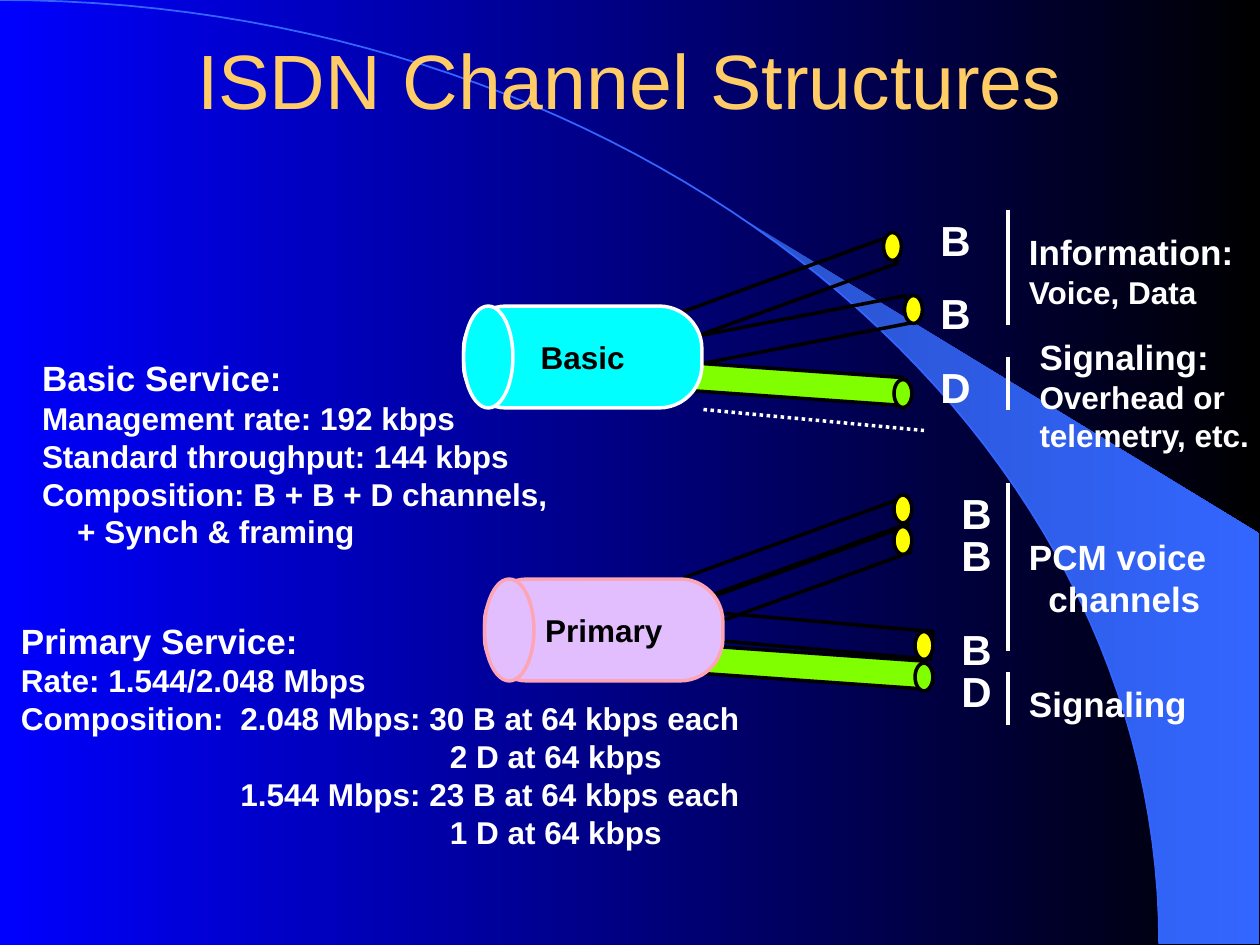
from lxml.etree import SubElement
from pptx import Presentation
from pptx.dml.color import RGBColor
from pptx.enum.dml import MSO_LINE
from pptx.enum.shapes import MSO_CONNECTOR, MSO_SHAPE
from pptx.enum.text import MSO_ANCHOR, PP_ALIGN
from pptx.oxml.ns import qn
from pptx.util import Emu, Inches, Pt

COLS, ROWS = 120, 90
WIDE, HIGH = Inches(10), Inches(7.5)
WHITE, BLACK, BLUE = "FFFFFF", "000000", "3366FF"
GREEN, GOLD = "7FFF00", "FFFF00"
BODY_W, BODY_H, CAP_W = 22.7, 9.7, 4.7
TUBE_W, TUBE_H, END_W = 21.7, 2.65, 1.7
ARC_W, ARC_H, STEPS = 110.4, 89.9, 60
TAB, DEEP = 20.9, 40.85


def unit(n):
    return Emu(round(n * WIDE / COLS))


def tint(code):
    return RGBColor.from_string(code)


def blend(fill, first, last):
    fill.gradient()
    fill.gradient_angle = 0
    for stop, code, spot in zip(fill.gradient_stops, (first, last), (0, 1)):
        stop.color.rgb = tint(code)
        stop.position = spot


def style(item, fill=None, line=None, width=2):
    item.shadow.inherit = False
    if fill:
        item.fill.solid()
        item.fill.fore_color.rgb = tint(fill)
    else:
        item.fill.background()
    if line:
        item.line.color.rgb = tint(line)
        item.line.width = Pt(width)
    else:
        item.line.fill.background()


def shape(page, kind, x, y, w, h, turn=0, **look):
    item = page.shapes.add_shape(kind, unit(x), unit(y), unit(w), unit(h))
    item.rotation = turn
    style(item, **look)
    return item


def outline(page, dots, close, **look):
    dots = [(unit(x), unit(y)) for x, y in dots]
    pen = page.shapes.build_freeform(*dots[0], scale=1.0)
    pen.add_line_segments(dots[1:], close=close)
    item = pen.convert_to_shape()
    style(item, **look)
    return item


def write(frame, rows, color=WHITE, bold=True, align=PP_ALIGN.LEFT,
          anchor=MSO_ANCHOR.TOP, wrap=True):
    frame.word_wrap = wrap
    frame.vertical_anchor = anchor
    frame.margin_left = frame.margin_right = 0
    for n, (text, size, shift) in enumerate(rows):
        para = frame.add_paragraph() if n else frame.paragraphs[0]
        para.alignment = align
        props = para._p.get_or_add_pPr()
        if shift:
            props.set("marL", str(unit(shift)))
            props.set("indent", "0")
        if "\t" in text:
            tabs = SubElement(props, qn("a:tabLst"))
            SubElement(tabs, qn("a:tab"), pos=str(unit(TAB)), algn="l")
        run = para.add_run()
        run.text = text
        font = run.font
        font.name, font.size, font.bold = "Arial", Pt(size), bold
        font.color.rgb = tint(color)


def label(page, x, y, w, h, rows, **form):
    box = page.shapes.add_textbox(unit(x), unit(y), unit(w), unit(h))
    write(box.text_frame, rows, **form)


def note(page, x, y, w, h, head, *rows):
    label(page, x, y, w, h, [(head, 20, 0), *rows])


def rule(page, x1, y1, x2, y2, dash=None):
    line = page.shapes.add_connector(
        MSO_CONNECTOR.STRAIGHT, unit(x1), unit(y1), unit(x2), unit(y2))
    line.line.color.rgb = tint(WHITE)
    line.line.width = Pt(2)
    if dash:
        line.line.dash_style = dash
    SubElement(line._element.spPr, qn("a:effectLst"))


def bend(t):
    s = 1 - t
    near, far = 3 * s * s * t, 3 * s * t * t
    return (near * 61 + (far + t ** 3) * ARC_W,
            far * 40.2 + t ** 3 * ARC_H)


def scene(page):
    blend(page.background.fill, "0000FF", BLACK)
    curve = [bend(n / STEPS) for n in range(STEPS + 1)]
    tip = (70.7, 20.8)
    edge = [dot for dot in curve if dot[0] > tip[0]]
    wing = outline(page, [tip, *edge, (119.9, ARC_H), (119.9, 50.8)], True)
    blend(wing.fill, "2952CC", BLUE)
    outline(page, curve, False, line=BLUE, width=1)


def bundle(page, name, x, y, fill, edge, tubes, mark, tags):
    for (left, top, wide, turn), end, sign in tubes:
        shape(page, MSO_SHAPE.RECTANGLE, left, top, wide, TUBE_H, turn,
              fill=GREEN if sign == "D" else None, line=BLACK)
    body = shape(page, MSO_SHAPE.ROUNDED_RECTANGLE, x, y, BODY_W, BODY_H,
                 fill=fill, line=edge)
    body.adjustments[0] = 0.42
    write(body.text_frame, [(name, 18, 0)], color=BLACK, wrap=False,
          align=PP_ALIGN.CENTER, anchor=MSO_ANCHOR.MIDDLE)
    shape(page, MSO_SHAPE.OVAL, x, y, CAP_W, BODY_H, fill=fill, line=edge)
    for (tube, end, sign), top in zip(tubes, tags):
        shape(page, MSO_SHAPE.OVAL, *end, END_W, TUBE_H,
              fill=GREEN if sign == "D" else GOLD, line=BLACK)
        label(page, mark, top, 5.3, 6, [(sign, 24, 0)], align=PP_ALIGN.CENTER)


def main():
    deck = Presentation()
    deck.slide_width, deck.slide_height = WIDE, HIGH
    page = deck.slides.add_slide(deck.slide_layouts[6])
    scene(page)
    label(page, 9, 0, COLS - 18, ROWS / 6, [("ISDN Channel Structures", 44, 0)],
          color="FFCC66", bold=False, align=PP_ALIGN.CENTER,
          anchor=MSO_ANCHOR.MIDDLE)
    bundle(page, "Basic", 44.15, 29.15, "00FFFF", WHITE, [
        ((64, 26.2, TUBE_W, 340), (84.15, 22.15), "B"),
        ((65, 30.2, TUBE_W, 349), (86.15, 28.15), "B"),
        ((64.2, 35.2, TUBE_W, 4), (85.15, 36.15), "D"),
    ], 88.35, (19.8, 26.8, 33.8))
    bundle(page, "Primary", 46.15, 55.15, "E3BEFF", "FDA4B5", [
        ((65, 51.2, TUBE_W, 340), (85.15, 47.15), "B"),
        ((67.1, 53.4, 19.8, 340), (85.15, 50.15), "B"),
        ((67.1, 59.2, TUBE_W, 5), (87.15, 60.15), "B"),
        ((66.2, 62.2, TUBE_W, 4), (87.15, 63.15), "D"),
    ], 90.35, (45.8, 49.8, 58.8, 62.8))
    note(page, 4, 33.4, 50, 19.6, "Basic Service:",
         ("Management rate: 192 kbps", 18, 0),
         ("Standard throughput: 144 kbps", 18, 0),
         ("Composition: B + B + D channels,", 18, 0),
         ("+ Synch & framing", 18, 3.35))
    note(page, 2, 58.4, 70, 23.2, "Primary Service:",
         ("Rate: 1.544/2.048 Mbps", 18, 0),
         ("Composition:\t2.048 Mbps: 30 B at 64 kbps each", 18, 0),
         ("2 D at 64 kbps", 18, DEEP),
         ("1.544 Mbps: 23 B at 64 kbps each", 18, TAB),
         ("1 D at 64 kbps", 18, DEEP))
    note(page, 98, 21.4, 22, 8.8, "Information:", ("Voice, Data", 18, 0))
    note(page, 99, 31.4, 21, 12.4, "Signaling:",
         ("Overhead or", 18, 0), ("telemetry, etc.", 18, 0))
    note(page, 98, 50.4, 20, 9.2, "PCM voice", ("channels", 20, 1.85))
    note(page, 98, 64.4, 20, 5.2, "Signaling")
    for top, low in ((20, 31), (34, 39), (46, 62), (64, 69)):
        rule(page, 96, top, 96, low)
    rule(page, 67, 39, 88, 41, MSO_LINE.ROUND_DOT)
    deck.save("out.pptx")


if __name__ == "__main__":
    main()
